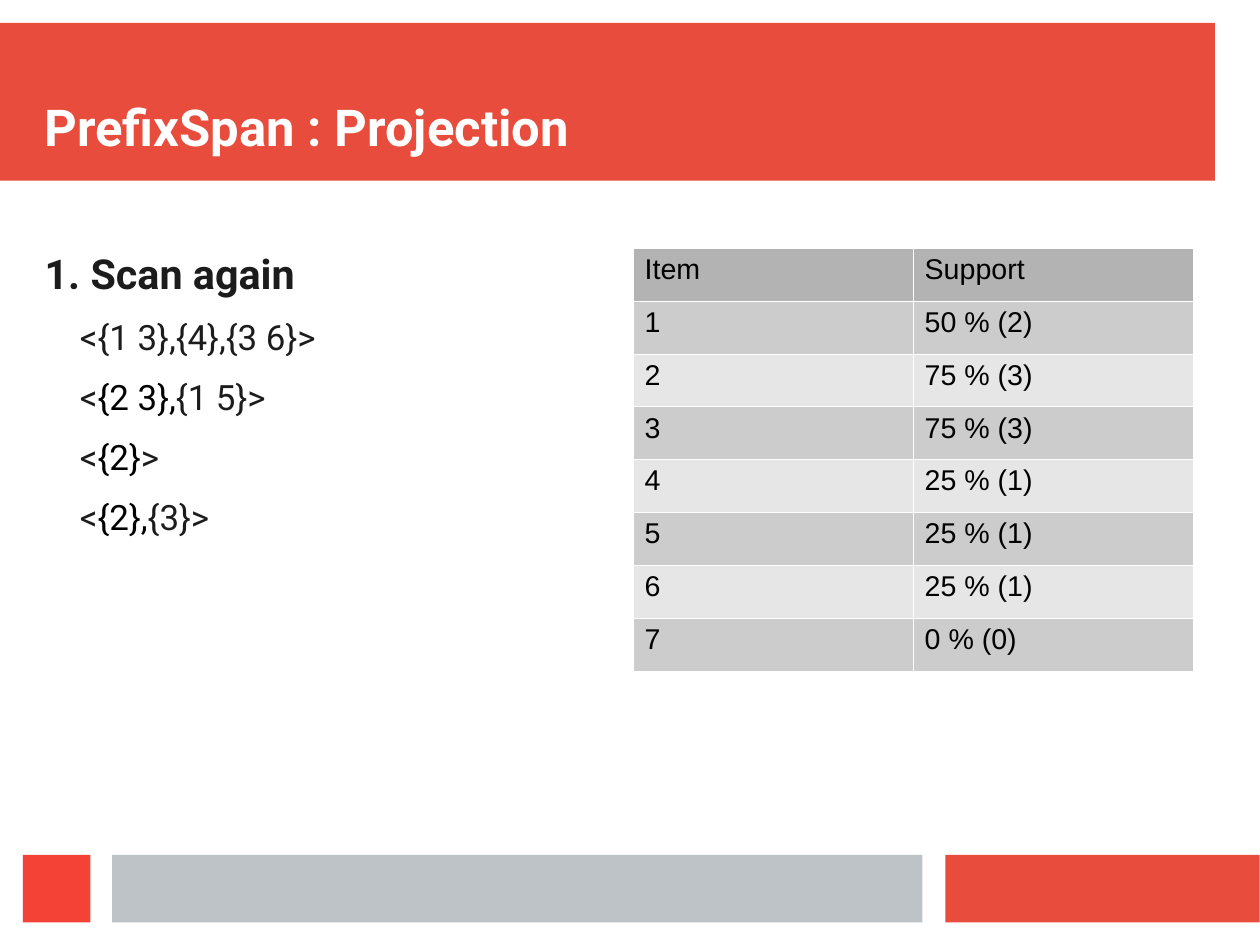
from lxml import etree
from pptx import Presentation, util as u
from pptx.dml.color import RGBColor
from pptx.enum import shapes, text
from pptx.oxml import ns

COLORS = {
    "red": "E74C3C", "bright": "F44336", "gray": "BDC3C7",
    "white": "FFFFFF", "ink": "1C1C1C", "black": "000000",
    "header": "B3B3B3", "odd": "CCCCCC", "even": "E6E6E6",
}

# Slide of 28 by 21 centimetres
deck = Presentation()
deck.slide_width = u.Inches(28 / 2.54)
deck.slide_height = u.Inches(21 / 2.54)
slide = deck.slides.add_slide(deck.slide_layouts[6])


def add_run(paragraph, words, color, size, font="Roboto", bold=False):
    run = paragraph.add_run()
    run.text = words
    for key, value in {"name": font, "size": u.Pt(size), "bold": bold}.items():
        setattr(run.font, key, value)
    run.font.color.rgb = RGBColor.from_string(COLORS[color])


def add_frame(left, top, width, height, anchor):
    frame = slide.shapes.add_textbox(*map(u.Inches, (left, top, width, height))).text_frame
    layout = {"margin_left": 0, "margin_top": 0, "margin_right": 0, "margin_bottom": 0,
              "word_wrap": True, "vertical_anchor": anchor}
    for key, value in layout.items():
        setattr(frame, key, value)
    return frame


# Title band and footer blocks
bands = [
    (0, 0.2, 10.63, 1.38, "red"),
    (8.27, 7.48, 2.75, 0.59, "red"),
    (0.98, 7.48, 7.09, 0.59, "gray"),
    (0.2, 7.48, 0.59, 0.59, "bright"),
]
for *place, color in bands:
    band = slide.shapes.add_shape(shapes.MSO_SHAPE.RECTANGLE, *map(u.Inches, place))
    band.shadow.inherit = False
    band.fill.solid()
    band.fill.fore_color.rgb = RGBColor.from_string(COLORS[color])
    band.line.fill.background()

# Title
title = add_frame(0.39, 0.39, 10.24, 0.98, text.MSO_ANCHOR.BOTTOM)
add_run(title.paragraphs[0], "PrefixSpan : Projection", "white", 32, bold=True)

# Scanned sequences, with the projected prefix in black
scan = add_frame(0.39, 2.17, 4.9, 5.12, text.MSO_ANCHOR.TOP)
heading = scan.paragraphs[0]
heading.space_after = u.Pt(11.4)
add_run(heading, "1. Scan again", "ink", 26, bold=True)

sequences = [
    ("<{1 3},{4},{3 6}>",),
    ("<", "{2 3},", "{1 5}>"),
    ("<", "{2}", ">"),
    ("<", "{2},", "{3}>"),
]
for sequence in sequences:
    line = scan.add_paragraph()
    line.level = 1
    line.space_after = u.Pt(11.3)
    properties = line._p.get_or_add_pPr()
    properties.set("marL", str(u.Inches(0.31)))
    properties.set("indent", "0")
    for words, color in zip(sequence, ("ink", "black", "ink")):
        add_run(line, words, color, 22)

# Support table
supports = [(50, 2), (75, 3), (75, 3), (25, 1), (25, 1), (25, 1), (0, 0)]
rows = [("Item", "Support")]
rows += [(str(item), f"{percent} % ({count})")
         for item, (percent, count) in enumerate(supports, 1)]

support_table = slide.shapes.add_table(
    len(rows), 2, *map(u.Inches, (5.54, 2.17, 4.9, 3.7))).table
for r, row in enumerate(rows):
    fill = "header" if r == 0 else "odd" if r % 2 else "even"
    for c, words in enumerate(row):
        cell = support_table.cell(r, c)
        add_run(cell.text_frame.paragraphs[0], words, "black", 18, font="Arial")
        # Borders go before the fill in the cell properties
        cell_properties = cell._tc.get_or_add_tcPr()
        for side in ("lnL", "lnR", "lnT", "lnB"):
            border = etree.SubElement(cell_properties, ns.qn(f"a:{side}"), w="720")
            paint = etree.SubElement(border, ns.qn("a:solidFill"))
            etree.SubElement(paint, ns.qn("a:srgbClr"), val=COLORS["white"])
        cell.fill.solid()
        cell.fill.fore_color.rgb = RGBColor.from_string(COLORS[fill])

deck.save("out.pptx")
